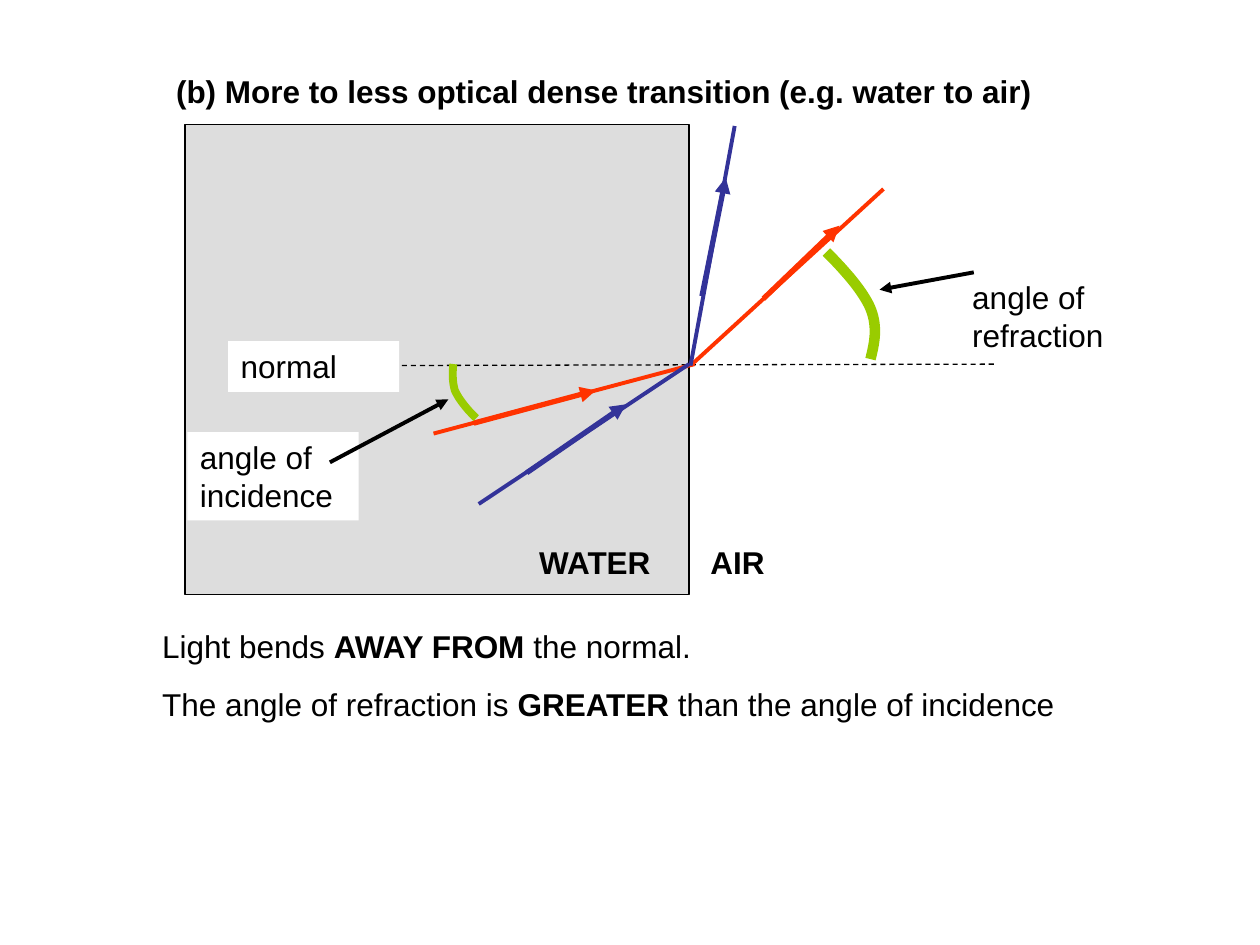
from lxml import etree
from pptx import Presentation
from pptx.dml.color import RGBColor
from pptx.enum.dml import MSO_LINE
from pptx.enum.shapes import MSO_CONNECTOR, MSO_SHAPE
from pptx.enum.text import MSO_ANCHOR
from pptx.oxml.ns import qn
from pptx.util import Cm, Pt

STRAIGHT = MSO_CONNECTOR.STRAIGHT
RECTANGLE = MSO_SHAPE.RECTANGLE
DASH = MSO_LINE.DASH
TOP, MIDDLE = MSO_ANCHOR.TOP, MSO_ANCHOR.MIDDLE

BLACK, WHITE, GREY = "000000", "FFFFFF", "DDDDDD"
RED, BLUE, GREEN = "FF3300", "333399", "99CC00"


def color(value):
    return RGBColor.from_string(value)


def curve_points(start, segments, steps=16):
    """Return points along joined cubic Bezier segments."""
    points = [start]
    for first, second, end in segments:
        for step in range(1, steps + 1):
            t = step / steps
            weights = ((1 - t) ** 3, 3 * t * (1 - t) ** 2, 3 * t ** 2 * (1 - t), t ** 3)
            controls = (start, first, second, end)
            points.append(tuple(
                sum(w * point[axis] for w, point in zip(weights, controls))
                for axis in (0, 1)))
        start = end
    return points


class Diagram:
    font = "Arial"
    size = Pt(18)
    paragraph_gap = Pt(11.2)

    def __init__(self, page):
        self.page = page

    def rectangle(self, left, top, width, height, fill):
        box = self.page.shapes.add_shape(
            RECTANGLE, Cm(left), Cm(top), Cm(width), Cm(height))
        box.shadow.inherit = False
        box.fill.solid()
        box.fill.fore_color.rgb = color(fill)
        box.line.color.rgb = color(BLACK)
        box.line.width = Pt(0.75)

    def text(self, left, top, width, height, paragraphs, fill=None, anchor=TOP, tab=None):
        """Add a text box; each paragraph is a list of (wording, bold) spans."""
        box = self.page.shapes.add_textbox(Cm(left), Cm(top), Cm(width), Cm(height))
        if fill:
            box.fill.solid()
            box.fill.fore_color.rgb = color(fill)
        frame = box.text_frame
        frame.word_wrap = True
        frame.vertical_anchor = anchor
        for index, spans in enumerate(paragraphs):
            para = frame.add_paragraph() if index else frame.paragraphs[0]
            if index:
                para.space_before = self.paragraph_gap
            if tab:
                stops = etree.SubElement(para._p.get_or_add_pPr(), qn("a:tabLst"))
                etree.SubElement(stops, qn("a:tab"), pos=str(Cm(tab)), algn="l")
            for wording, bold in spans:
                span = para.add_run()
                span.text = wording
                span.font.name = self.font
                span.font.size = self.size
                span.font.bold = bold
                span.font.color.rgb = color(BLACK)

    def line(self, start, end, stroke, width, arrow=False, dash=None):
        line = self.page.shapes.add_connector(
            STRAIGHT, *(Cm(value) for value in (*start, *end)))
        line.line.color.rgb = color(stroke)
        line.line.width = Pt(width)
        if dash:
            line.line.dash_style = dash
        properties = line._element.spPr
        if arrow:
            etree.SubElement(properties.find(qn("a:ln")), qn("a:tailEnd"), type="triangle")
        etree.SubElement(properties, qn("a:effectLst"))

    def ray(self, start, end, arrow_start, arrow_end, stroke):
        """Draw a light ray with a thicker arrow showing its direction."""
        self.line(start, end, stroke, 2.25)
        self.line(arrow_start, arrow_end, stroke, 3, arrow=True)

    def arc(self, start, segments, width):
        first, *rest = [(Cm(x), Cm(y)) for x, y in curve_points(start, segments)]
        builder = self.page.shapes.build_freeform(*first)
        builder.add_line_segments(rest, close=False)
        arc = builder.convert_to_shape()
        arc.shadow.inherit = False
        arc.fill.background()
        arc.line.color.rgb = color(GREEN)
        arc.line.width = Pt(width)


def main():
    deck = Presentation()
    deck.slide_width, deck.slide_height = Cm(25.4), Cm(19.05)
    diagram = Diagram(deck.slides.add_slide(deck.slide_layouts[6]))

    diagram.text(3.3, 1.32, 18.67, 1.02, [[
        ("(b) More to less optical dense transition (e.g. water to air)", True)]],
        anchor=MIDDLE)
    diagram.rectangle(3.73, 2.51, 10.16, 9.47, GREY)
    diagram.line((7.19, 7.37), (20.07, 7.34), BLACK, 0.75, dash=DASH)

    rays = [
        ((8.74, 8.74), (14, 7.34), (9.55, 8.53), (12.01, 7.87), RED),
        ((13.92, 7.37), (17.81, 3.81), (15.39, 6.02), (16.92, 4.55), RED),
        ((9.65, 10.16), (13.89, 7.34), (10.62, 9.53), (12.62, 8.15), BLUE),
        ((13.92, 7.37), (14.81, 2.54), (14.15, 5.97), (14.63, 3.58), BLUE),
    ]
    for ray in rays:
        diagram.ray(*ray)

    diagram.arc((9.14, 7.34), [
        ((9.12, 7.52), (9.12, 7.7), (9.17, 7.87)),
        ((9.25, 8.05), (9.42, 8.26), (9.6, 8.43))], 4.5)
    diagram.text(3.78, 8.71, 3.45, 1.78, [[("angle of incidence", False)]], fill=WHITE)
    diagram.text(4.6, 6.88, 3.45, 1.02, [[("normal", False)]], fill=WHITE)
    diagram.line((6.65, 9.32), (9.04, 8.05), BLACK, 2.25, arrow=True)

    diagram.arc((16.66, 5.08), [
        ((17.04, 5.46), (17.4, 5.87), (17.55, 6.22)),
        ((17.7, 6.6), (17.63, 6.91), (17.55, 7.24))], 6)
    diagram.text(19.35, 5.49, 3.45, 1.78, [[("angle of refraction", False)]])
    diagram.line((19.63, 5.49), (17.73, 5.84), BLACK, 2.25, arrow=True)

    diagram.text(10.62, 10.82, 6.91, 1.02, [[("WATER\tAIR", True)]], tab=3.45)
    diagram.text(3.02, 12.52, 20.37, 2.18, [
        [("Light bends ", False), ("AWAY FROM", True), (" the normal.", False)],
        [("The angle of refraction is ", False), ("GREATER", True),
         (" than the angle of incidence", False)]])

    deck.save("out.pptx")


if __name__ == "__main__":
    main()
